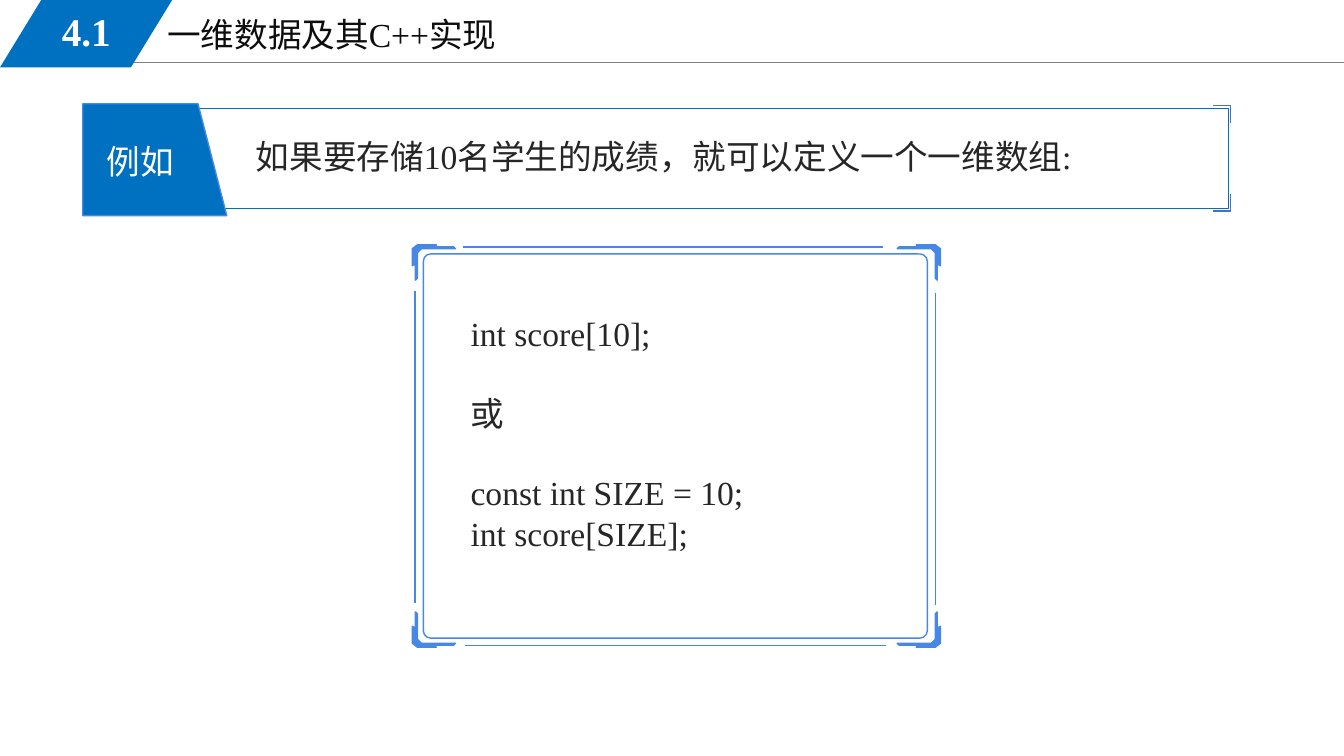
from itertools import product

from lxml.etree import SubElement
from pptx import Presentation
from pptx.dml.color import RGBColor
from pptx.enum.shapes import MSO_CONNECTOR, MSO_SHAPE
from pptx.enum.text import MSO_ANCHOR, PP_ALIGN
from pptx.oxml.ns import qn
from pptx.util import Cm, Pt

LATIN_FONT = "Times New Roman"
CHINESE_FONT = "Noto Sans CJK SC"
BLUE = "0070C0"
FRAME_BLUE = "4788E6"
MARK_BLUE = "4472C4"
DARK = "262626"
WHITE = "FFFFFF"


def color(hex_string):
    return RGBColor.from_string(hex_string)


class SlideBuilder:
    def __init__(self, slide):
        self.slide = slide

    def fill_text(self, shape, lines, text_color, size=24, bold=False, font=LATIN_FONT,
                  align=PP_ALIGN.LEFT, anchor=MSO_ANCHOR.TOP):
        frame = shape.text_frame
        frame.word_wrap = True
        frame.vertical_anchor = anchor
        frame.text = "\n".join(lines)
        for paragraph in frame.paragraphs:
            paragraph.alignment = align
            for run in paragraph.runs:
                run.font.name = font
                run.font.size = Pt(size)
                run.font.bold = bold
                run.font.color.rgb = color(text_color)
                east_asian = SubElement(run.font._element, qn("a:ea"))
                east_asian.set("typeface", CHINESE_FONT)
        return frame

    def title(self, text, left, top, width, height):
        shape = self.slide.shapes.title
        shape.left, shape.top, shape.width, shape.height = map(Cm, (left, top, width, height))
        self.fill_text(shape, [text], "0D0D0D")

    def text(self, lines, left, top, width, height, text_color, **style):
        box = self.slide.shapes.add_textbox(*map(Cm, (left, top, width, height)))
        return self.fill_text(box, lines, text_color, **style)

    def paint(self, shape, fill=None, line=None):
        shape.shadow.inherit = False
        if fill:
            shape.fill.solid()
            shape.fill.fore_color.rgb = color(fill)
        else:
            shape.fill.background()
        if line:
            shape.line.color.rgb = color(line)
            shape.line.width = Pt(1)
        else:
            shape.line.fill.background()

    def preset(self, kind, left, top, width, height, fill=None, line=None, adjust=None):
        shape = self.slide.shapes.add_shape(kind, *map(Cm, (left, top, width, height)))
        self.paint(shape, fill, line)
        if adjust is not None:
            shape.adjustments[0] = adjust
        return shape

    def outline(self, points, fill):
        start, *rest = [(Cm(x), Cm(y)) for x, y in points]
        builder = self.slide.shapes.build_freeform(*start)
        builder.add_line_segments(rest, close=True)
        self.paint(builder.convert_to_shape(), fill, fill)

    def line(self, start_x, start_y, end_x, end_y, line_color, width=1):
        connector = self.slide.shapes.add_connector(
            MSO_CONNECTOR.STRAIGHT, *map(Cm, (start_x, start_y, end_x, end_y)))
        connector.line.color.rgb = color(line_color)
        connector.line.width = Pt(width)
        SubElement(connector._element.spPr, qn("a:effectLst"))


def add_header(builder):
    builder.line(2.87, 1.57, 33.87, 1.57, "808080", 0.75)
    builder.title("一维数据及其C++实现", 3.96, 0.23, 14.4, 1.3)
    builder.preset(MSO_SHAPE.PARALLELOGRAM, 0, 0, 4.34, 1.7, BLUE, adjust=0.612)
    builder.text(["4.1"], 0.64, 0.05, 3.07, 1.47, WHITE, size=28, bold=True,
                 align=PP_ALIGN.CENTER, anchor=MSO_ANCHOR.MIDDLE)


def add_code_frame(builder):
    left, top, right, bottom = 10.39, 6.17, 23.7, 16.31
    bracket = [(0.13, 0), (0.61, 0), (0.56, 0.05), (1.04, 0.05), (1.09, 0.1), (0.23, 0.1),
               (0.13, 0.2), (0.13, 0.84), (0.08, 0.89), (0.08, 0.48), (0, 0.53), (0, 0.1)]
    for (x, toward_x), (y, toward_y) in product([(left, 1), (right, -1)],
                                                [(top, 1), (bottom, -1)]):
        builder.outline([(x + toward_x * dx, y + toward_y * dy) for dx, dy in bracket],
                        FRAME_BLUE)
    builder.preset(MSO_SHAPE.ROUNDED_RECTANGLE, 10.67, 6.4, 12.7, 9.68,
                   line=FRAME_BLUE, adjust=0.019)
    for x, y in [(11.66, 6.22), (11.73, 16.26)]:
        builder.line(x, y, x + 10.59, y, FRAME_BLUE)
    for x, y in [(10.46, 7.34), (23.57, 7.39)]:
        builder.line(x, y, x, y + 7.85, FRAME_BLUE)

    code = ["int score[10];", "或", "const int SIZE = 10;", "int score[SIZE];"]
    frame = builder.text(code, 11.61, 7.77, 10.87, 6.4, DARK)
    for paragraph in frame.paragraphs[1:3]:
        paragraph.space_before = Pt(28)


def add_example_banner(builder):
    builder.preset(MSO_SHAPE.RECTANGLE, 2.08, 2.74, 28.88, 2.51, line=BLUE)
    tab = builder.preset(MSO_SHAPE.FLOWCHART_MANUAL_INPUT, 2.49, 2.21, 2.82, 3.63,
                         BLUE, FRAME_BLUE)
    tab.rotation = 90
    builder.text(["例如"], 2.44, 3.43, 2.6, 1.27, WHITE, font=CHINESE_FONT)
    builder.text(["如果要存储10名学生的成绩，就可以定义一个一维数组:"],
                 6.2, 3.3, 25.04, 1.27, DARK)
    corner_x = 31.01
    for y, direction in [(2.66, 1), (5.32, -1)]:
        builder.line(corner_x - 0.43, y, corner_x, y, MARK_BLUE)
        builder.line(corner_x, y, corner_x, y + direction * 0.43, MARK_BLUE)


def main():
    presentation = Presentation()
    presentation.slide_width, presentation.slide_height = Cm(33.87), Cm(19.05)
    title_only = presentation.slide_layouts[5]
    builder = SlideBuilder(presentation.slides.add_slide(title_only))
    add_header(builder)
    add_code_frame(builder)
    add_example_banner(builder)
    presentation.save("out.pptx")


if __name__ == "__main__":
    main()
